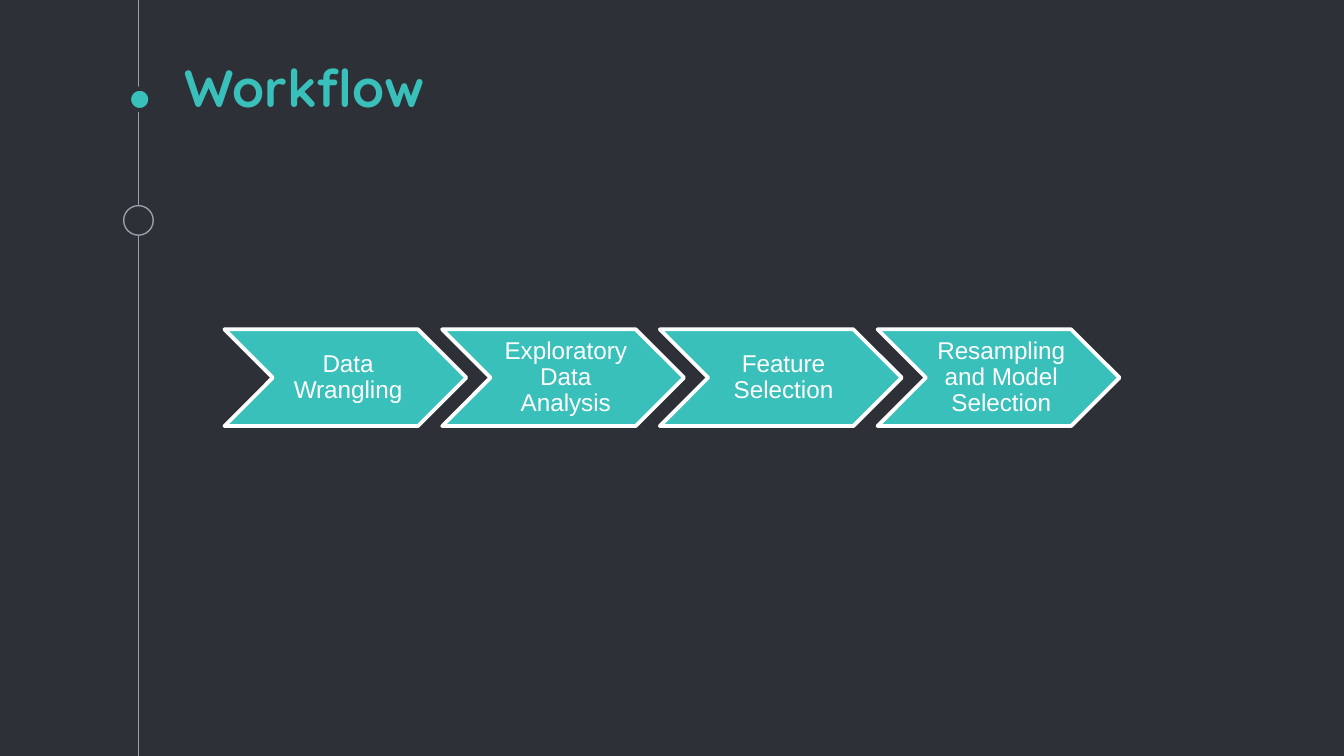
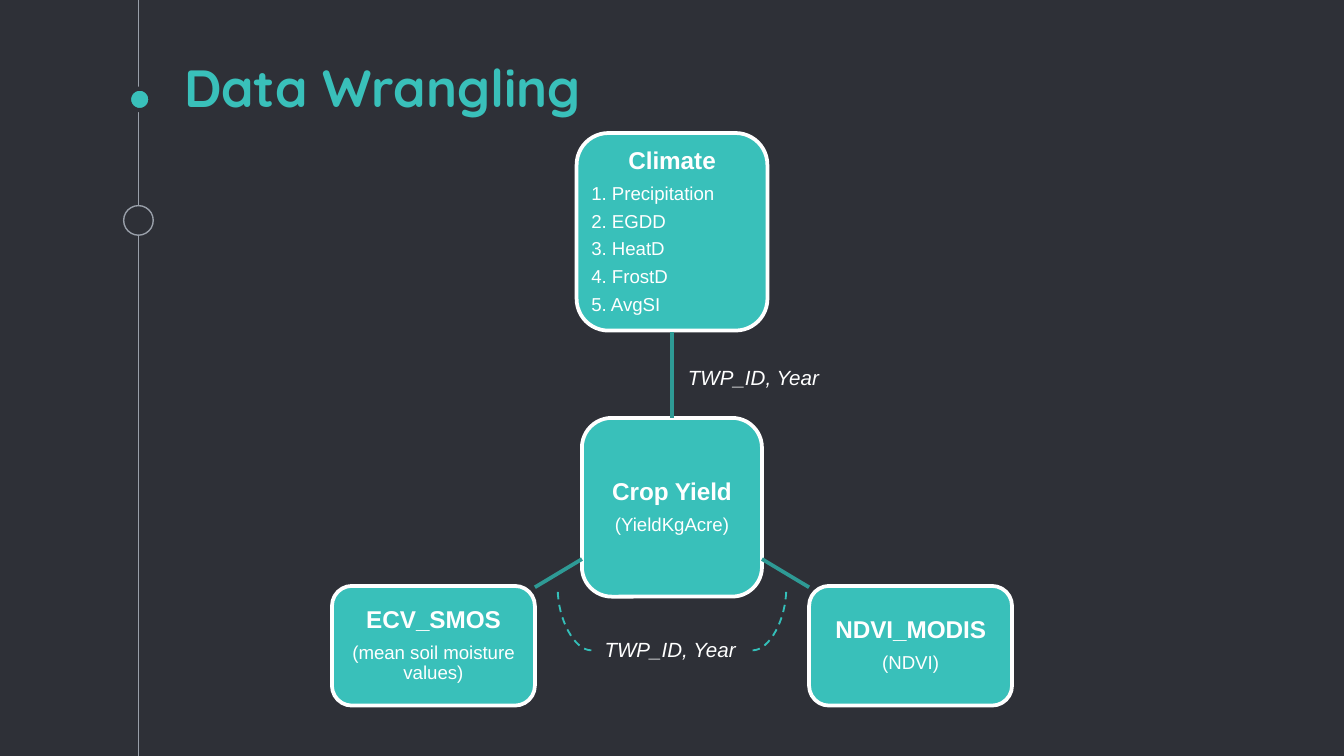
from lxml.etree import SubElement
from pptx import Presentation
from pptx.dml.color import RGBColor
from pptx.enum.dml import MSO_LINE
from pptx.enum.shapes import MSO_CONNECTOR, MSO_SHAPE
from pptx.enum.text import MSO_ANCHOR, MSO_AUTO_SIZE, PP_ALIGN
from pptx.oxml.ns import qn
from pptx.util import Inches, Pt

# Colours and fonts
DARK = RGBColor(0x2E, 0x30, 0x37)
TEAL = RGBColor(0x39, 0xC0, 0xBA)
DEEP_TEAL = RGBColor(0x2E, 0x9A, 0x95)
DASH_TEAL = RGBColor(0x34, 0xBF, 0xB9)
GREY = RGBColor(0x99, 0x9F, 0xA9)
WHITE = RGBColor(0xFF, 0xFF, 0xFF)
TITLE_FONT, BODY_FONT = "Quicksand", "Arial"
HEADING_SIZE, DETAIL_SIZE, LABEL_SIZE = 13, 10, 11
SLIDE_WIDTH, SLIDE_HEIGHT = 10, 5.625

# Content
STEPS = ["Data Wrangling", "Exploratory Data Analysis", "Feature Selection",
         "Resampling and Model Selection"]
JOIN_KEY = "TWP_ID, Year"
# Each source: left, top, width, height, heading, details, detail alignment
SOURCES = [
    (4.33, 3.11, 1.34, 1.33, "Crop Yield", ["(YieldKgAcre)"], PP_ALIGN.CENTER),
    (4.29, 0.99, 1.42, 1.47, "Climate",
     ["1. Precipitation", "2. EGDD", "3. HeatD", "4. FrostD", "5. AvgSI"], PP_ALIGN.LEFT),
    (6.02, 4.36, 1.51, 0.89, "NDVI_MODIS", ["(NDVI)"], PP_ALIGN.CENTER),
    (2.47, 4.36, 1.51, 0.89, "ECV_SMOS", ["(mean soil moisture values)"], PP_ALIGN.CENTER),
]
JOINS = [(5, 3.11, 5, 2.47), (5.67, 4.16, 6.02, 4.37), (4.33, 4.16, 3.98, 4.37)]
KEY_LABELS = [(5.02, 2.67), (4.4, 4.69)]
KEY_CURVES = [(4.4, 4.84, 4.15, 4.38), (5.6, 4.84, 5.85, 4.38)]


def add_span(para, text, size, color=WHITE, font=BODY_FONT, bold=False, italic=False):
    span = para.add_run()
    span.text = text
    span.font.name, span.font.size = font, Pt(size)
    span.font.bold, span.font.italic = bold, italic
    span.font.color.rgb = color


def set_insets(frame, left, others):
    frame.margin_left = Inches(left)
    frame.margin_top = frame.margin_right = frame.margin_bottom = Inches(others)


def add_box(page, kind, place, fill=TEAL, line=WHITE, weight=2):
    box = page.shapes.add_shape(kind, *map(Inches, place))
    box.shadow.inherit = False
    box.fill.solid()
    box.fill.fore_color.rgb = fill
    box.line.color.rgb = line
    box.line.width = Pt(weight)
    return box


def write_box(box, lines, left_inset, other_insets):
    """Fill a box with lines of (text, size, bold, alignment)."""
    frame = box.text_frame
    frame.word_wrap = True
    frame.vertical_anchor = MSO_ANCHOR.MIDDLE
    set_insets(frame, left_inset, other_insets)
    for index, (text, size, bold, alignment) in enumerate(lines):
        para = frame.add_paragraph() if index else frame.paragraphs[0]
        para.alignment = alignment
        para.line_spacing = 0.9
        para.space_after = Pt(0.4 * size)
        add_span(para, text, size, bold=bold)


def add_line(page, ends, color, weight, kind=MSO_CONNECTOR.STRAIGHT):
    line = page.shapes.add_connector(kind, *map(Inches, ends))
    line.line.color.rgb = color
    line.line.width = Pt(weight)
    SubElement(line._element.spPr, qn("a:effectLst"))
    return line


def add_page(title):
    page = deck.slides.add_slide(deck.slide_layouts[5])
    # Timeline down the left side
    add_line(page, (1.03, 0, 1.03, SLIDE_HEIGHT), GREY, 0.75)
    add_box(page, MSO_SHAPE.OVAL, (0.96, 0.66, 0.16, 0.16), TEAL, DARK, 2.25)
    add_box(page, MSO_SHAPE.OVAL, (0.92, 1.53, 0.22, 0.22), DARK, GREY, 0.75)
    # Title
    box = page.shapes.title
    box.left, box.top, box.width, box.height = map(Inches, (1.27, 0.6, 7.5, 0.38))
    frame = box.text_frame
    frame.auto_size = MSO_AUTO_SIZE.NONE
    frame.word_wrap = True
    frame.vertical_anchor = MSO_ANCHOR.BOTTOM
    set_insets(frame, 0.1, 0.1)
    para = frame.paragraphs[0]
    para.alignment = PP_ALIGN.LEFT
    add_span(para, title, 28, TEAL, TITLE_FONT, bold=True)
    return page


deck = Presentation()
deck.slide_width, deck.slide_height = Inches(SLIDE_WIDTH), Inches(SLIDE_HEIGHT)
background = deck.slide_master.background.fill
background.solid()
background.fore_color.rgb = DARK

# Slide 1: chain of steps
page = add_page("Workflow")
for index, step in enumerate(STEPS):
    box = add_box(page, MSO_SHAPE.CHEVRON, (1.67 + 1.62 * index, 2.45, 1.8, 0.72))
    write_box(box, [(step, HEADING_SIZE, False, PP_ALIGN.CENTER)], 0.06, 0.02)

# Slide 2: data sources joined to the crop yield
page = add_page("Data Wrangling")
for *place, heading, details, alignment in SOURCES:
    box = add_box(page, MSO_SHAPE.ROUNDED_RECTANGLE, place)
    lines = [(heading, HEADING_SIZE, True, PP_ALIGN.CENTER)]
    lines += [(detail, DETAIL_SIZE, False, alignment) for detail in details]
    write_box(box, lines, 0.04, 0.04)
for ends in JOINS:
    add_line(page, ends, DEEP_TEAL, 2)

# Join keys with their dashed curves
for left, top in KEY_LABELS:
    box = page.shapes.add_textbox(*map(Inches, (left, top, 1.2, 0.29)))
    box.text_frame.word_wrap = False
    box.text_frame.auto_size = MSO_AUTO_SIZE.SHAPE_TO_FIT_TEXT
    add_span(box.text_frame.paragraphs[0], JOIN_KEY, LABEL_SIZE, italic=True)
for ends in KEY_CURVES:
    curve = add_line(page, ends, DASH_TEAL, 1, MSO_CONNECTOR.CURVE)
    curve.line.dash_style = MSO_LINE.DASH
    curve._element.spPr.find(qn("a:prstGeom")).set("prst", "curvedConnector2")

deck.save("out.pptx")
